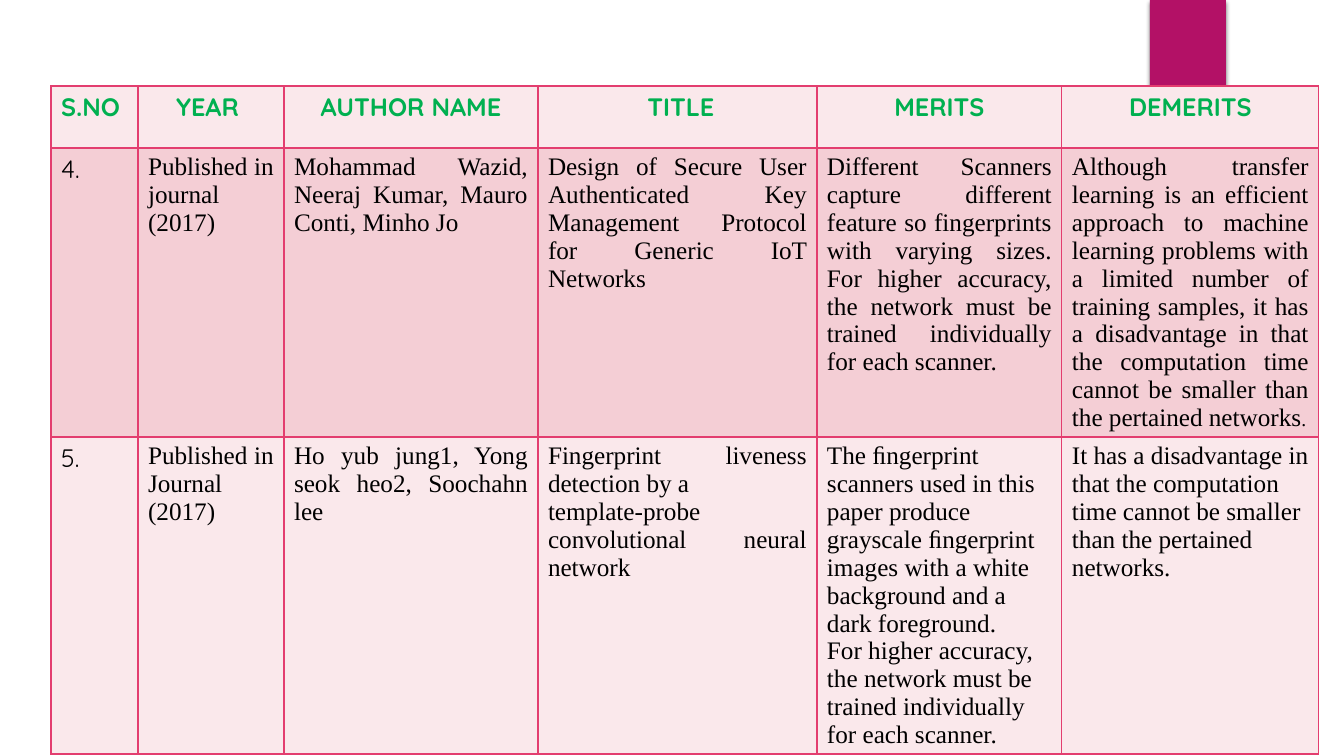
from lxml.etree import SubElement
from pptx import Presentation
from pptx.dml.color import RGBColor
from pptx.enum.shapes import MSO_SHAPE
from pptx.enum.text import PP_ALIGN
from pptx.oxml import parse_xml
from pptx.oxml.ns import nsdecls, qn
from pptx.util import Emu, Pt

SLIDE_WIDTH, SLIDE_HEIGHT = 1344, 756
EMU_PER_PX = 12192000 / SLIDE_WIDTH

HEADING_FONT, BODY_FONT = "Quicksand", "Times New Roman"
ACCENT, BORDER, HEADING, BODY = "B31166", "E33D6F", "00B050", "000000"
BAND_FILLS = ["FAE8EB", "F4CED5"]

COLUMN_WIDTHS = [87, 146, 254, 279, 245, 257]
ROW_HEIGHTS = [62, 289, 317]
HEADINGS = ["S.NO", "YEAR ", "AUTHOR NAME", " TITLE", "MERITS", "DEMERITS"]
PAPERS = [
    [
        "4.",
        "Published in journal (2017)",
        "Mohammad Wazid, Neeraj Kumar, Mauro Conti, Minho Jo",
        "Design of Secure User Authenticated Key Management Protocol for "
        "Generic IoT Networks",
        "Different Scanners capture different feature so fingerprints with "
        "varying sizes. For higher accuracy, the network must be trained "
        "individually for each scanner.",
        "Although transfer learning is an efficient approach to machine "
        "learning problems with \n"
        "a limited number of training samples, it has a disadvantage in that "
        "the computation time cannot be smaller than the pertained networks",
    ],
    [
        "5.",
        "Published in Journal (2017)",
        "Ho yub jung1, Yong seok heo2, Soochahn lee",
        "Fingerprint liveness detection by a\n"
        "template-probe convolutional neural network",
        "The ﬁngerprint scanners used in this paper produce grayscale "
        "ﬁngerprint images with a white background and a dark foreground.\n"
        "For higher accuracy, the network must be trained individually for "
        "each scanner.",
        "It has a disadvantage in that the computation time cannot be smaller "
        "than the pertained networks.",
    ],
]


def px(length):
    return Emu(round(length * EMU_PER_PX))


def rgb(hex_color):
    return RGBColor.from_string(hex_color)


def format_run(run, font, color, size=18, bold=False):
    run.font.name = font
    run.font.size = Pt(size)
    run.font.bold = bold
    run.font.color.rgb = rgb(color)


def add_ribbon(slide, left, top, width, height):
    """Draw the accent tab with its soft downward shadow."""
    ribbon = slide.shapes.add_shape(
        MSO_SHAPE.RECTANGLE, px(left), px(top), px(width), px(height))
    ribbon.fill.solid()
    ribbon.fill.fore_color.rgb = rgb(ACCENT)
    ribbon.line.fill.background()
    ribbon.shadow.inherit = False
    effects = ribbon._element.spPr.find(qn("a:effectLst"))
    effects.append(parse_xml(
        f'<a:outerShdw {nsdecls("a")} blurRad="{Pt(3)}" dist="{Pt(2)}" '
        'dir="5400000" rotWithShape="0"><a:srgbClr val="000000">'
        '<a:alpha val="45000"/></a:srgbClr></a:outerShdw>'))


def add_borders(cell):
    properties = cell._tc.get_or_add_tcPr()
    for position, side in enumerate(["lnL", "lnR", "lnT", "lnB"]):
        border = SubElement(properties, qn(f"a:{side}"), w=str(Pt(1)))
        fill = SubElement(border, qn("a:solidFill"))
        SubElement(fill, qn("a:srgbClr"), val=BORDER)
        properties.insert(position, border)


def fill_cell(cell, text, fill, alignment, font, color, bold=False):
    cell.fill.solid()
    cell.fill.fore_color.rgb = rgb(fill)
    add_borders(cell)
    cell.text_frame.text = text
    for paragraph in cell.text_frame.paragraphs:
        paragraph.alignment = alignment
        for run in paragraph.runs:
            format_run(run, font, color, bold=bold)


def add_survey_table(slide, left, top):
    table = slide.shapes.add_table(
        len(ROW_HEIGHTS), len(COLUMN_WIDTHS), px(left), px(top),
        px(sum(COLUMN_WIDTHS)), px(sum(ROW_HEIGHTS))).table
    for column, width in zip(table.columns, COLUMN_WIDTHS):
        column.width = px(width)
    for row, height in zip(table.rows, ROW_HEIGHTS):
        row.height = px(height)

    for column, heading in enumerate(HEADINGS):
        alignment = PP_ALIGN.CENTER if column else PP_ALIGN.LEFT
        fill_cell(table.cell(0, column), heading, BAND_FILLS[0], alignment,
                  HEADING_FONT, HEADING, bold=True)

    for row, paper in enumerate(PAPERS, start=1):
        for column, text in enumerate(paper):
            ragged = row == 2 and HEADINGS[column] in ("MERITS", "DEMERITS")
            fill_cell(table.cell(row, column), text, BAND_FILLS[row % 2],
                      PP_ALIGN.LEFT if ragged else PP_ALIGN.JUSTIFY,
                      BODY_FONT if column else HEADING_FONT, BODY)

    last_demerit = table.cell(1, 5).text_frame.paragraphs[-1]
    full_stop = last_demerit.add_run()
    full_stop.text = "."
    format_run(full_stop, BODY_FONT, BODY, size=14)


def main():
    presentation = Presentation()
    presentation.slide_width = px(SLIDE_WIDTH)
    presentation.slide_height = px(SLIDE_HEIGHT)
    slide = presentation.slides.add_slide(presentation.slide_layouts[6])
    add_ribbon(slide, 1150, 0, 76, 126)
    add_survey_table(slide, 51, 86)
    presentation.save("out.pptx")


if __name__ == "__main__":
    main()
